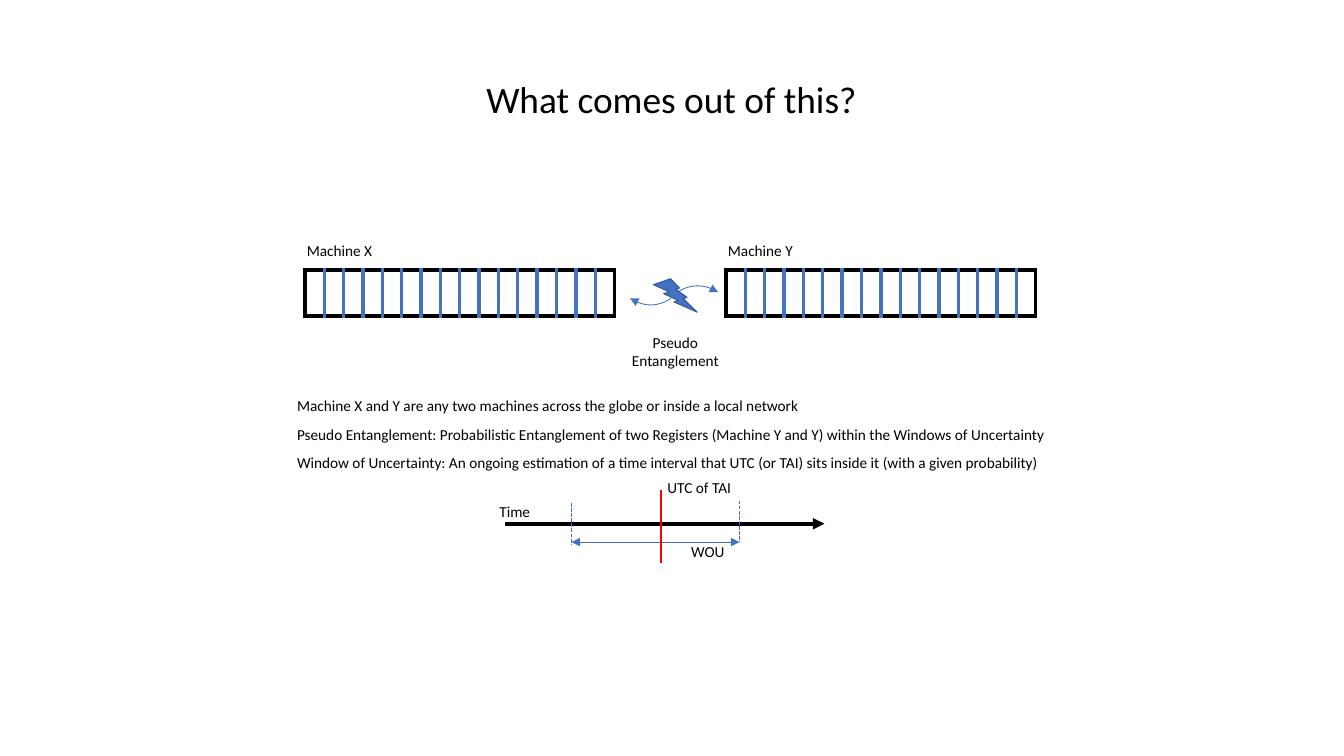
from lxml.etree import SubElement
from pptx import Presentation
from pptx.dml.color import RGBColor
from pptx.enum.dml import MSO_LINE
from pptx.enum.shapes import MSO_CONNECTOR, MSO_SHAPE
from pptx.enum.text import PP_ALIGN
from pptx.oxml.ns import qn
from pptx.util import Inches, Pt

COLORS = {"ink": "000000", "blue": "4471C4", "outline": "2E528F", "red": "FF0000"}
FONT = "Calibri"


def rgb(name):
    return RGBColor.from_string(COLORS[name])


class Board:
    """Holds the slide and draws its elements in one style."""

    def __init__(self, slide):
        self.shapes = slide.shapes

    def text(self, left, top, width, height, lines, size=18, align=PP_ALIGN.LEFT, gap=0):
        frame = self.shapes.add_textbox(*map(Inches, (left, top, width, height))).text_frame
        frame.word_wrap = True
        frame.margin_left = frame.margin_top = frame.margin_right = frame.margin_bottom = 0
        for i, line in enumerate(lines):
            paragraph = frame.paragraphs[0] if i == 0 else frame.add_paragraph()
            paragraph.text = line
            paragraph.alignment = align
            paragraph.space_after = Pt(gap)
            paragraph.font.name = FONT
            paragraph.font.size = Pt(size)
            paragraph.font.color.rgb = rgb("ink")

    def register(self, left, top, width, height, count):
        """Draw a one-row table with a black frame and blue dividers."""
        table = self.shapes.add_table(1, count, *map(Inches, (left, top, width, height))).table
        table.first_row = table.horz_banding = False
        for i in range(count):
            table.columns[i].width = Inches(width / count)
            cell = table.cell(0, i)
            cell.fill.background()
            self.border(cell, "L", "ink" if i == 0 else "blue")
            self.border(cell, "R", "ink" if i == count - 1 else "blue")
            self.border(cell, "T", "ink")
            self.border(cell, "B", "ink")

    def border(self, cell, side, color):
        properties = cell._tc.get_or_add_tcPr()
        edge = properties.makeelement(qn(f"a:ln{side}"), {"w": str(Pt(4.5))})
        fill = SubElement(edge, qn("a:solidFill"))
        SubElement(fill, qn("a:srgbClr"), val=COLORS[color])
        properties.insert("LRTB".index(side), edge)

    def arrowheads(self, line, ends, size):
        for end in ends:
            SubElement(line._get_or_add_ln(), qn(f"a:{end}"), type="triangle", w=size, len=size)

    def line(self, start, end, color, width, dash=None, heads=(), head_size="med"):
        connector = self.shapes.add_connector(
            MSO_CONNECTOR.STRAIGHT, *map(Inches, (*start, *end)))
        connector.line.color.rgb = rgb(color)
        connector.line.width = Pt(width)
        if dash:
            connector.line.dash_style = dash
        self.arrowheads(connector.line, heads, head_size)
        SubElement(connector._element.spPr, qn("a:effectLst"))

    def curved_arrow(self, start, bend, end, steps=16):
        """Draw a quadratic curve from start to end, pulled towards bend."""
        points = []
        for i in range(steps + 1):
            t = i / steps
            points.append(tuple(
                Inches((1 - t) ** 2 * a + 2 * t * (1 - t) * b + t ** 2 * c)
                for a, b, c in zip(start, bend, end)))
        builder = self.shapes.build_freeform(*points[0])
        builder.add_line_segments(points[1:], close=False)
        curve = builder.convert_to_shape()
        curve.shadow.inherit = False
        curve.fill.background()
        curve.line.color.rgb = rgb("blue")
        curve.line.width = Pt(1)
        self.arrowheads(curve.line, ["tailEnd"], "lg")

    def bolt(self, left, top, width, height):
        bolt = self.shapes.add_shape(
            MSO_SHAPE.LIGHTNING_BOLT, *map(Inches, (left, top, width, height)))
        bolt.shadow.inherit = False
        bolt.fill.solid()
        bolt.fill.fore_color.rgb = rgb("blue")
        bolt.line.color.rgb = rgb("outline")
        bolt.line.width = Pt(1)


def main():
    deck = Presentation()
    deck.slide_width, deck.slide_height = Inches(21.99), Inches(12.37)
    board = Board(deck.slides.add_slide(deck.slide_layouts[6]))

    board.text(4.49, 1.25, 13, 0.75, ["What comes out of this?"], 44, PP_ALIGN.CENTER)

    for machine, left in (("Machine X", 4.99), ("Machine Y", 11.88)):
        board.register(left, 4.42, 5.07, 0.75, 16)
        board.text(left + 0.03, 3.95, 1.5, 0.33, [machine])

    board.curved_arrow((11.1, 4.77), (11.42, 4.58), (11.75, 4.78))
    board.curved_arrow((10.98, 4.88), (10.65, 5.1), (10.31, 4.88))
    board.bolt(10.69, 4.56, 0.72, 0.55)
    board.text(10.05, 5.45, 2, 0.62, ["Pseudo", "Entanglement"], align=PP_ALIGN.CENTER)

    board.text(4.86, 6.49, 12.6, 1.4, [
        "Machine X and Y are any two machines across the globe or inside a local network",
        "Pseudo Entanglement: Probabilistic Entanglement of two Registers "
        "(Machine Y and Y) within the Windows of Uncertainty",
        "Window of Uncertainty: An ongoing estimation of a time interval that "
        "UTC (or TAI) sits inside it (with a given probability)",
    ], gap=12)

    window_start, window_end = 9.35, 12.1
    board.line((8.27, 8.57), (13.49, 8.57), "ink", 4.5, heads=["tailEnd"])
    board.line((window_end, 8.19), (window_end, 8.87), "blue", 1.5, MSO_LINE.SQUARE_DOT)
    board.line((window_start, 8.87), (window_end, 8.87), "blue", 1,
               heads=["headEnd", "tailEnd"], head_size="lg")
    board.line((10.81, 9.21), (10.81, 8.01), "red", 2.25)
    board.line((window_start, 8.23), (window_start, 8.91), "blue", 1.5, MSO_LINE.SQUARE_DOT)
    for label, left, top in (("UTC of TAI", 10.92, 7.83), ("Time", 8.17, 8.22),
                             ("WOU", 11.31, 8.88)):
        board.text(left, top, 1.5, 0.31, [label])

    deck.save("out.pptx")


if __name__ == "__main__":
    main()
